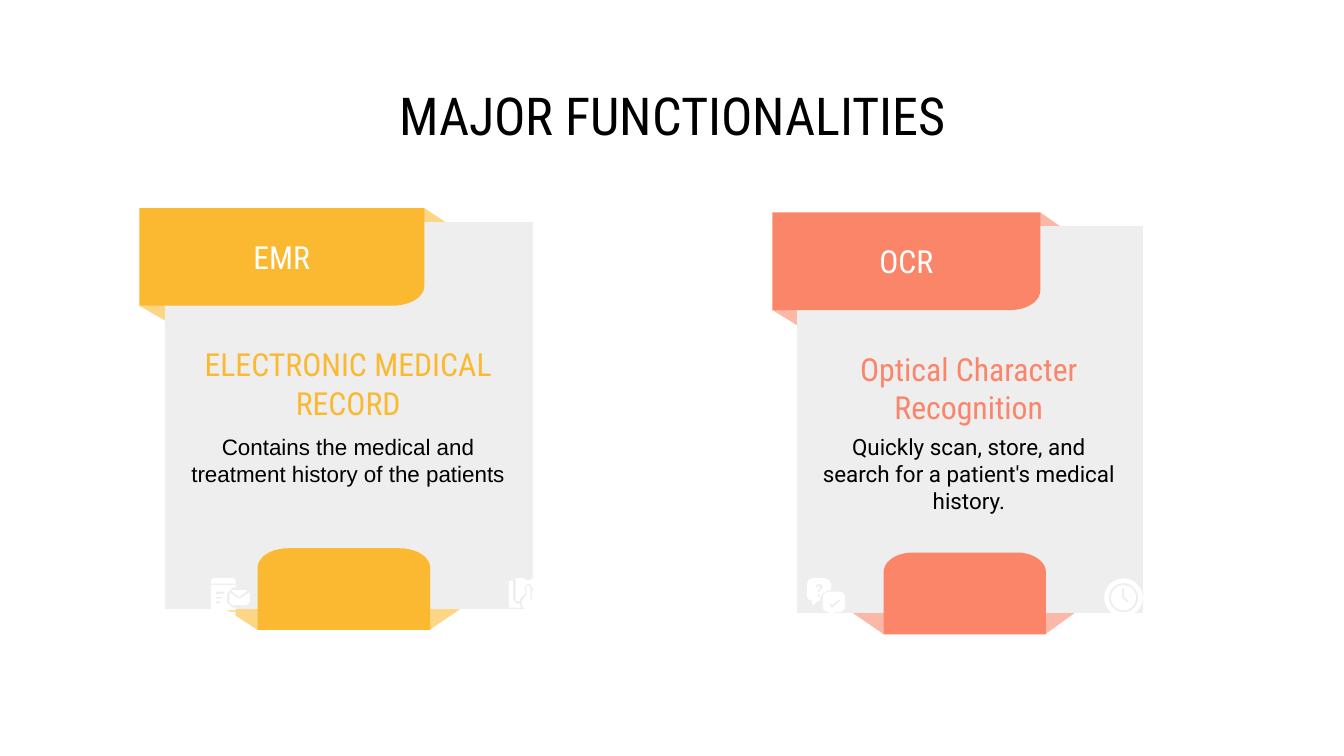
from dataclasses import dataclass
from math import cos, radians, sin

from lxml import etree
from pptx import Presentation
from pptx.dml.color import RGBColor
from pptx.enum.text import MSO_ANCHOR, PP_ALIGN
from pptx.oxml.ns import qn
from pptx.util import Pt

MIDDLE = MSO_ANCHOR.MIDDLE
CENTER = PP_ALIGN.CENTER
Contour = list[tuple[float, float]]


@dataclass(frozen=True)
class Theme:
    black: str = "000000"
    white: str = "FFFFFF"
    panel: str = "EEEEEE"
    yellow: str = "FBB831"
    coral: str = "FB8569"
    display: str = "Roboto Condensed"
    title_size: float = 28
    label_size: float = 17
    body_size: float = 12


@dataclass(frozen=True)
class Card:
    left: float
    top: float
    stretch: float
    color: str
    fold_opacity: int
    label: str
    heading: str
    body: str
    body_font: str
    body_top: float

    def place(self, contour: Contour) -> Contour:
        return [(self.left + x * self.stretch, self.top + y) for x, y in contour]


THEME = Theme()
CARDS = [
    Card(74.6, 111.5, 1, THEME.yellow, 59, "EMR", "ELECTRONIC MEDICAL RECORD",
         "Contains the medical and treatment history of the patients",
         "Arial", 110.2),
    Card(413.8, 113.8, 0.94, THEME.coral, 58, "OCR", "Optical Character Recognition",
         "Quickly scan, store, and search for a patient's medical history.",
         "Roboto", 115.2),
]


# Outlines, in points
def rounded(x: float, y: float, width: float, height: float,
            rx: float = 0, ry: float = 0, corners: str = "tl tr br bl") -> Contour:
    """Rectangle whose named corners are elliptical arcs."""
    points = []
    for name, start in (("tl", 180), ("tr", 270), ("br", 0), ("bl", 90)):
        a, b = (rx, ry) if name in corners.split() else (0, 0)
        center_x = x + a if "l" in name[1] else x + width - a
        center_y = y + b if name[0] == "t" else y + height - b
        steps = range(0, 91, 9) if a else (0,)
        points += [(center_x + a * cos(radians(start + step)),
                    center_y + b * sin(radians(start + step))) for step in steps]
    return points


def disc(x: float, y: float, radius: float) -> Contour:
    return rounded(x - radius, y - radius, 2 * radius, 2 * radius, radius, radius)


FOLDS = [
    [(20.2, 50.4), (0, 52.3), (21.6, 64.8)],
    [(67.7, 212.4), (44.6, 213.8), (63.4, 226)],
    [(150.5, 212.4), (155.5, 226), (173.5, 213.8)],
    [(152.7, 0), (148.3, 10.8), (169.2, 10.8)],
]
PANEL = rounded(13.9, 7.5, 197.2, 207.3)
RIBBON = rounded(0, 0, 152.7, 52.3, 17, 10.5, "br")
TAB = rounded(63.4, 182.2, 92.5, 43.8, 16.6, 10.5, "tl tr")

# Icons: each part is an outer contour followed by its holes
MAIL_ICON = [
    [rounded(0, 0, 13.3, 2.9, 2, 2, "tl tr")],
    [[(0, 3.6), (13.3, 3.6), (13.3, 5), (11.5, 5), (8.6, 8), (8.6, 13),
      (11.5, 15.8), (13.3, 15.8), (13.3, 17.3), (0, 17.3)],
     rounded(2.6, 7.2, 4.6, 1.3, 0.6, 0.6), rounded(2.6, 10, 3.6, 1, 0.5, 0.5),
     rounded(2.6, 12.2, 2.5, 1.3, 0.6, 0.6)],
    [rounded(0, 18, 13.3, 2.9, 2, 2, "bl br")],
    [[(11.5, 6.4), (10.8, 6.7), (15.1, 10), (19.4, 6.7), (18.7, 6.4)]],
    [[(10, 7.6), (14.4, 10.7), (15.8, 10.7), (20.7, 7.6), (20.7, 13),
      (19, 14.4), (11.5, 14.4), (10, 13)]],
]
TOUCH_ICON = [
    [[(10.1, 3.6), (9.4, 5), (9.4, 9.4), (7.9, 10.8), (6.8, 13), (7.2, 15.1),
      (9.4, 17.3), (9.4, 20.2), (10.1, 20.9), (18.7, 20.9), (19.4, 20.2),
      (19.4, 17.3), (20.2, 15.8), (20.2, 10.8), (19.4, 10.1), (18.7, 10.8),
      (18.7, 12), (17.6, 12.2), (17.3, 9), (16.6, 8.6), (15.8, 9), (15.8, 12),
      (15.1, 12.2), (14.4, 12), (14.4, 7.2), (13.3, 6.5), (12.2, 7.2),
      (12.2, 12), (11.5, 12), (11.5, 5), (10.8, 3.7)]],
    [rounded(18, 1.4, 2.2, 7.4, 0.7, 0.7)],
    [[(0, 1.4), (2.2, 1.4), (2.2, 11.5), (4.3, 13.7), (5.8, 13.7),
      (6.5, 15.8), (0, 15.8)]],
    [[(3.6, 0), (8, 0), (10.1, 1.4), (13, 0), (16.6, 0), (16.6, 7.2),
      (15.1, 7.9), (14.4, 5.5), (12.2, 5), (11.5, 3.2), (10.1, 2.9), (8.6, 5),
      (8.6, 8.6), (6.5, 10.1), (5.8, 12.2), (3.6, 12.2)]],
]
CHAT_ICON = [
    [[(2.9, 0), (10.1, 0), (12, 0.9), (13, 2.9), (13, 6.5), (11.5, 6.5),
      (8.6, 7.9), (7.2, 10.8), (7.2, 12.2), (5.8, 12.2), (3.6, 14.4), (2.9, 14),
      (2.9, 12.2), (0.9, 11.3), (0, 9.4), (0, 3.6), (0.9, 0.9)],
     [(4.9, 4.9), (5, 3.8), (6.5, 2.9), (8, 3.4), (8.6, 4.3), (8.2, 5.4),
      (7.2, 6.3), (7.1, 7.2), (6, 7.2), (6, 6.3), (7.2, 4.9), (7, 4.1),
      (6.3, 3.9), (5.9, 4.9)],
     disc(6.5, 9.3, 0.7)],
    [rounded(8.6, 7.2, 11.9, 10.8, 3, 3),
     [(12.2, 14), (13, 13.7), (13.7, 14.4), (17.3, 11.2), (18, 11.9),
      (13.9, 15.8), (13.2, 15.8)]],
    [[(12.2, 18), (12.2, 20.5), (12.9, 20.6), (15.1, 18)]],
]
CLOCK_ICON = [
    [disc(10.1, 10.4, 10.3), disc(10.1, 10.4, 7.8)],
    [disc(10.1, 10.4, 6.7),
     [(9.4, 5.2), (10.4, 5.2), (10.4, 9.9), (12.9, 12.4), (12.2, 13.1), (9.4, 10.4)]],
]
ICONS = [MAIL_ICON, TOUCH_ICON, CHAT_ICON, CLOCK_ICON]
ICON_LEFT, ICON_TOP, ICON_PITCH = 113, 309.8, 159.6


def draw_outline(page, contours: list[Contour], color: str, opacity: int = 100):
    builder = None
    for contour in contours:
        start, *rest = [(Pt(x), Pt(y)) for x, y in contour]
        if builder is None:
            builder = page.shapes.build_freeform(*start)
        else:
            builder.move_to(*start)
        builder.add_line_segments(rest, close=True)
    shape = builder.convert_to_shape()
    shape.shadow.inherit = False
    shape.line.fill.background()
    shape.fill.solid()
    shape.fill.fore_color.rgb = RGBColor.from_string(color)
    if opacity < 100:
        tint = shape.fill._xPr.find(".//" + qn("a:srgbClr"))
        etree.SubElement(tint, qn("a:alpha"), val=str(opacity * 1000))
    return shape


def write(box, text: str, font: str, size: float, color: str) -> None:
    frame = box.text_frame
    frame_format = {"word_wrap": True, "vertical_anchor": MIDDLE}
    frame_format |= {f"margin_{side}": Pt(7.2) for side in ("left", "top", "right", "bottom")}
    for name, value in frame_format.items():
        setattr(frame, name, value)
    para = frame.paragraphs[0]
    para.alignment = CENTER
    span = para.add_run()
    span.text = text
    for name, value in {"name": font, "size": Pt(size), "bold": False}.items():
        setattr(span.font, name, value)
    span.font.color.rgb = RGBColor.from_string(color)


def draw_card(page, card: Card) -> None:
    for fold in FOLDS:
        draw_outline(page, [card.place(fold)], card.color, card.fold_opacity)
    draw_outline(page, [card.place(PANEL)], THEME.panel)
    ribbon = draw_outline(page, [card.place(RIBBON)], card.color)
    write(ribbon, card.label, THEME.display, THEME.label_size, THEME.white)
    draw_outline(page, [card.place(TAB)], card.color)
    for text, top, height, font, size, color in (
        (card.heading, 77, 33.8, THEME.display, THEME.label_size, card.color),
        (card.body, card.body_top, 49.7, card.body_font, THEME.body_size, THEME.black),
    ):
        box = page.shapes.add_textbox(Pt(card.left + 18.7 * card.stretch), Pt(card.top + top),
                                      Pt(186.5 * card.stretch), Pt(height))
        write(box, text, font, size, color)


def main() -> None:
    deck = Presentation()
    deck.slide_width, deck.slide_height = Pt(720), Pt(405)
    page = deck.slides.add_slide(deck.slide_layouts[5])

    # Title
    title = page.shapes.title
    place = {"left": 56.2, "top": 42.5, "width": 608.4, "height": 38.2}
    for name, value in place.items():
        setattr(title, name, Pt(value))
    write(title, "MAJOR FUNCTIONALITIES", THEME.display, THEME.title_size, THEME.black)

    # Cards
    for card in CARDS:
        draw_card(page, card)

    # Row of icons
    for index, icon in enumerate(ICONS):
        left = ICON_LEFT + index * ICON_PITCH
        for part in icon:
            moved = [[(left + x, ICON_TOP + y) for x, y in contour] for contour in part]
            draw_outline(page, moved, THEME.white)

    deck.save("out.pptx")


if __name__ == "__main__":
    main()
